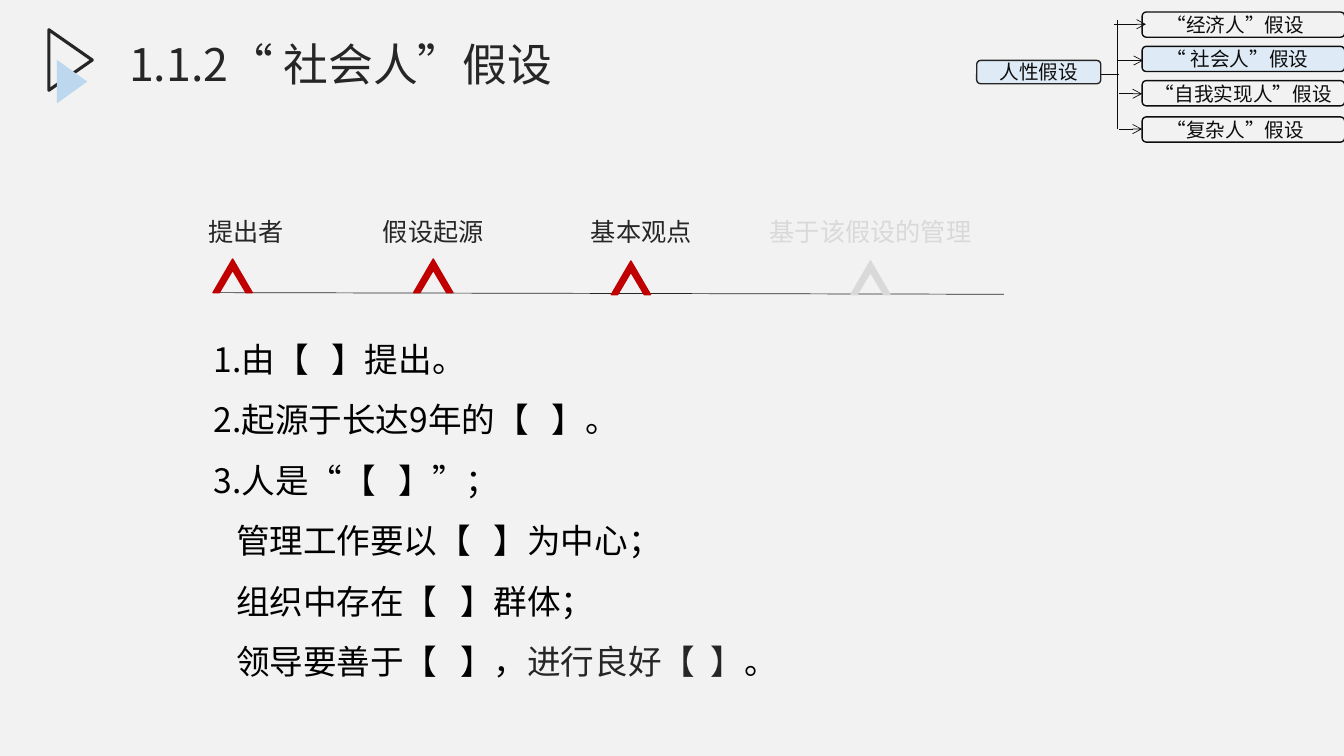
"""Build the slide on the "social man" assumption."""
from lxml import etree
from pptx import Presentation
from pptx.dml.color import RGBColor
from pptx.enum.shapes import MSO_CONNECTOR, MSO_SHAPE
from pptx.enum.text import MSO_ANCHOR, MSO_AUTO_SIZE, PP_ALIGN
from pptx.oxml.ns import qn
from pptx.util import Pt

LEFT, CENTER = PP_ALIGN.LEFT, PP_ALIGN.CENTER
TOP, MIDDLE, BOTTOM = MSO_ANCHOR.TOP, MSO_ANCHOR.MIDDLE, MSO_ANCHOR.BOTTOM
NONE = MSO_AUTO_SIZE.NONE
STRAIGHT = MSO_CONNECTOR.STRAIGHT
ROUND, TRIANGLE = MSO_SHAPE.ROUNDED_RECTANGLE, MSO_SHAPE.ISOSCELES_TRIANGLE
FONT = "Noto Sans CJK SC"
DARK, INK, BLACK = "262626", "0D0D0D", "000000"
RED, GREY, PALE = "C00000", "D9D9D9", "DEEBF7"
rgb = RGBColor.from_string


def style(par, size, color, align=LEFT):
    par.alignment = align
    par.font.size = Pt(size)
    par.font.color.rgb = rgb(color)
    par.font.name = FONT
    base = par._p.get_or_add_pPr().find(qn("a:defRPr"))
    etree.SubElement(base, qn("a:ea")).set("typeface", FONT)


def wire(x1, y1, x2, y2, color, arrow=False):
    link = slide.shapes.add_connector(STRAIGHT, Pt(x1), Pt(y1), Pt(x2), Pt(y2))
    link.line.color.rgb = rgb(color)
    link.line.width = Pt(0.5)
    if arrow:
        etree.SubElement(link.line._get_or_add_ln(), qn("a:tailEnd")).set("type", "arrow")
    etree.SubElement(link._element.spPr, qn("a:effectLst"))


deck = Presentation()
deck.slide_width, deck.slide_height = Pt(960), Pt(540)
slide = deck.slides.add_slide(deck.slide_layouts[1])
slide.background.fill.solid()
slide.background.fill.fore_color.rgb = rgb("F2F2F2")

for x, y, w, h, fill in [(28.8, 27.4, 43.2, 31, None), (36, 47.5, 31, 21.6, "BDD7EE")]:
    mark = slide.shapes.add_shape(TRIANGLE, Pt(x), Pt(y), Pt(w), Pt(h))
    mark.rotation = 90
    mark.shadow.inherit = False
    if fill:
        mark.fill.solid()
        mark.fill.fore_color.rgb = rgb(fill)
        mark.line.fill.background()
    else:
        mark.fill.background()
        mark.line.color.rgb = rgb(DARK)
        mark.line.width = Pt(2.25)

title, body = slide.shapes.title, slide.placeholders[1]
for holder, x, y, w, h in [(title, 85, 22.5, 549, 64), (body, 145.4, 224, 625, 268.5)]:
    holder.left, holder.top, holder.width, holder.height = Pt(x), Pt(y), Pt(w), Pt(h)
    holder.text_frame.auto_size = NONE
    holder.text_frame.vertical_anchor = TOP
    holder.text_frame.word_wrap = True

title.text_frame.text = "1.1.2“ 社会人”假设"
style(title.text_frame.paragraphs[0], 32, DARK)
title.text_frame.paragraphs[0].line_spacing = Pt(38.4)

points = [
    (0, ["1.由【   】提出。"]),
    (0, ["2.起源于长达9年的【   】。"]),
    (0, ["3.人是“【   】”；"]),
    (16, ["管理工作要以【   】为中心；"]),
    (16, ["组织中存在【   】群体；"]),
    (16, ["领导要善于【   】，", "进行良好【  】", "。"]),
]
for i, (indent, parts) in enumerate(points):
    par = body.text_frame.paragraphs[0] if i == 0 else body.text_frame.add_paragraph()
    for j, part in enumerate(parts):
        run = par.add_run()
        run.text = part
        if j == 1:
            run.font.color.rgb = rgb(DARK)
    par.line_spacing = Pt(43.2)
    par.space_before = Pt(0)
    props = par._p.get_or_add_pPr()
    props.set("marL", str(Pt(indent)))
    props.set("indent", "0")
    etree.SubElement(props, qn("a:buNone"))
    style(par, 24, BLACK)

wire(152, 209, 717, 210.2, DARK)
steps = [
    ("提出者", 166.2, 175.8, 185, RED, DARK),
    ("假设起源", 309.5, 309.5, 185, RED, DARK),
    ("基本观点", 450.7, 458, 186.4, RED, DARK),
    ("基于该假设的管理", 621.8, 621.8, 186.4, GREY, GREY),
]
for text, peak, mid, top, fill, color in steps:
    pen = slide.shapes.build_freeform(Pt(peak), Pt(top))
    pen.add_line_segments([(Pt(peak + dx), Pt(top + dy)) for dx, dy in
                           [(14, 24), (9.5, 24), (0, 8), (-9.5, 24), (-14, 24)]])
    peg = pen.convert_to_shape()
    peg.shadow.inherit = False
    peg.fill.solid()
    peg.fill.fore_color.rgb = rgb(fill)
    peg.line.color.rgb = rgb(fill)
    peg.line.width = Pt(1)
    width = 18 * len(text) + 32
    label = slide.shapes.add_textbox(Pt(mid - width / 2), Pt(129), Pt(width), Pt(51))
    frame = label.text_frame
    frame.word_wrap = True
    frame.vertical_anchor = BOTTOM
    frame.text = text
    style(frame.paragraphs[0], 18, color, CENTER)

wire(797.8, 92.2, 797.8, 14.4, INK)
wire(784.8, 53.3, 799.2, 53.3, INK)
for x1, x2, y in [(795.6, 818.6, 17.3), (797.8, 816.5, 43.2), (799.2, 815.8, 67), (799.2, 815.8, 92.2)]:
    wire(x1, y, x2, y, INK, True)

boxes = [
    ("人性假设", 697.7, 43.2, 88.6, 16.6, PALE, DARK, CENTER),
    ("“经济人”假设", 815.8, 8.6, 144.7, 18, None, INK, LEFT),
    ("“ 社会人”假设", 815.8, 33.1, 144.7, 18, PALE, INK, LEFT),
    ("“自我实现人”假设", 815.8, 57.6, 144.7, 18, None, INK, CENTER),
    ("“复杂人”假设", 815.8, 83.5, 144.7, 18, None, INK, LEFT),
]
for text, x, y, w, h, fill, edge, align in boxes:
    box = slide.shapes.add_shape(ROUND, Pt(x), Pt(y), Pt(w), Pt(h))
    box.shadow.inherit = False
    if fill:
        box.fill.solid()
        box.fill.fore_color.rgb = rgb(fill)
    else:
        box.fill.background()
    box.line.color.rgb = rgb(edge)
    box.line.width = Pt(1)
    frame = box.text_frame
    frame.vertical_anchor = MIDDLE
    if align == LEFT:
        frame.margin_left = Pt(16.6)
    frame.text = text
    style(frame.paragraphs[0], 14, INK, align)

deck.save("out.pptx")
